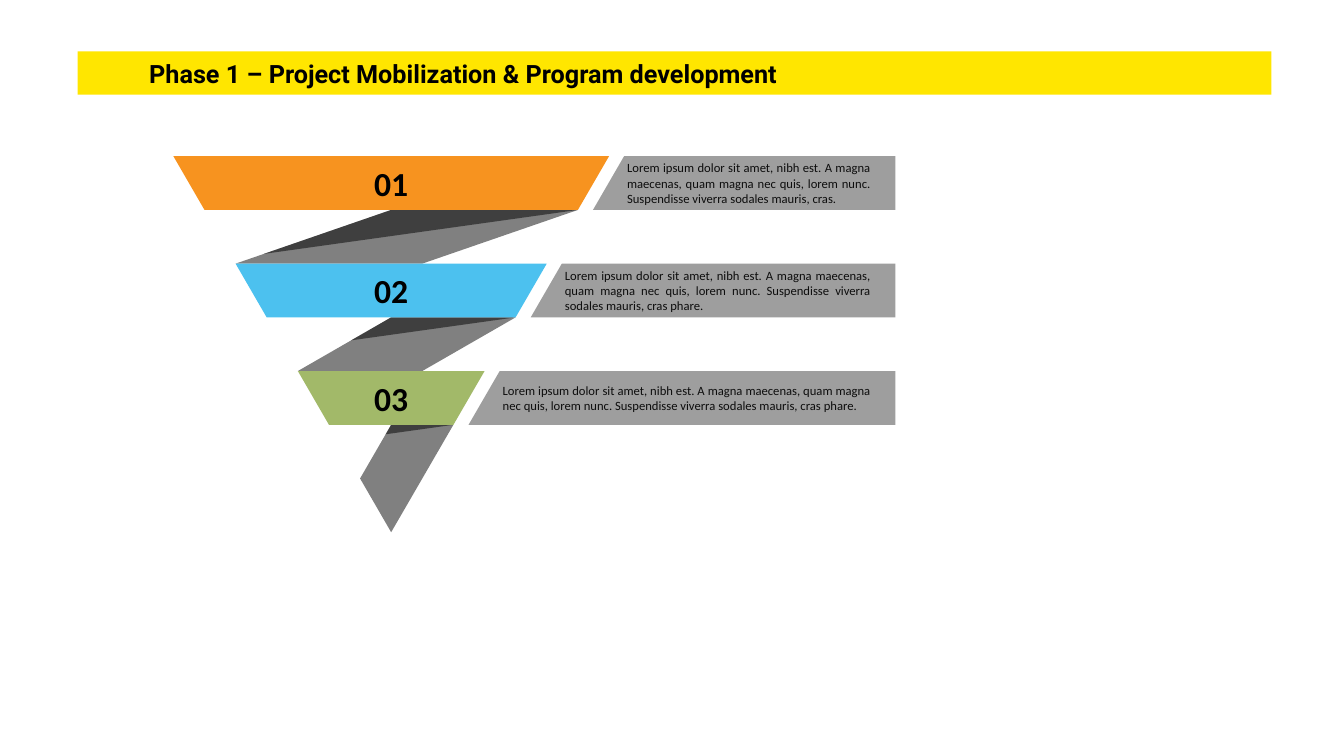
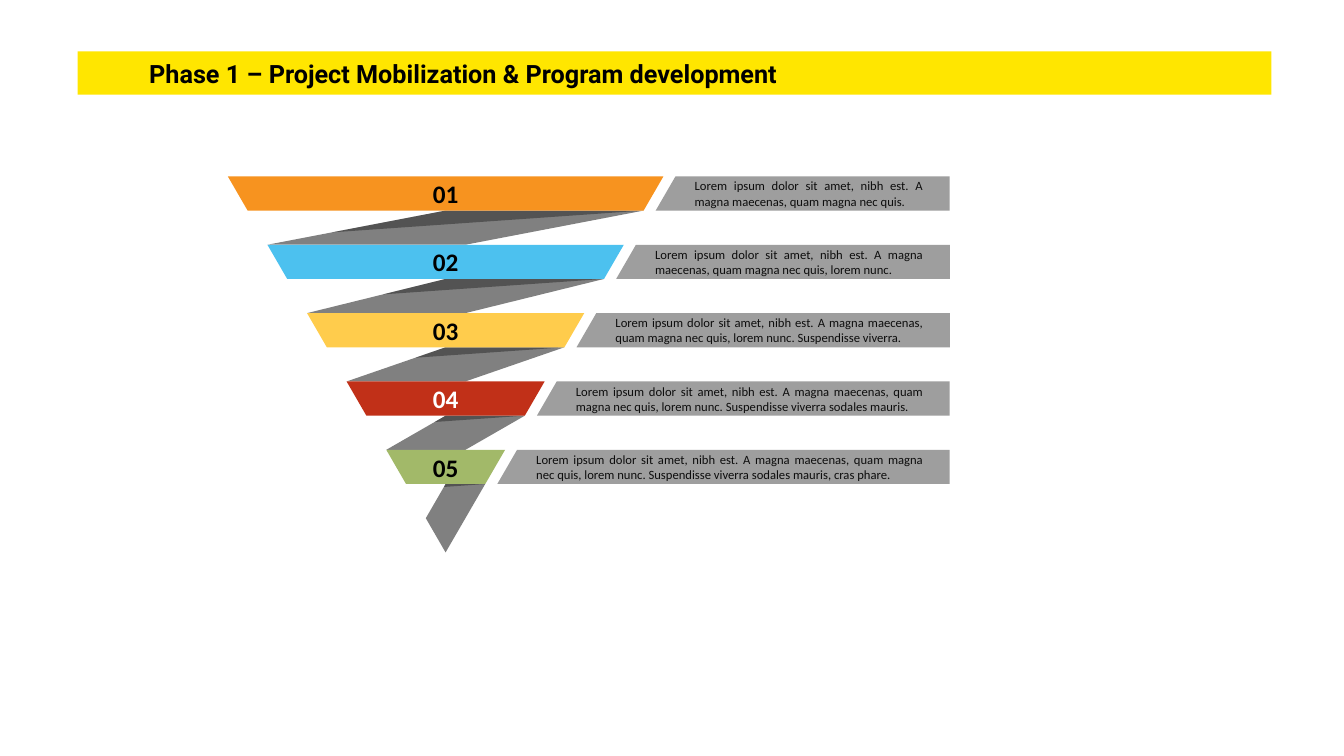
"""Build two funnel slides, one with three steps and one with five."""
from dataclasses import dataclass

from lxml.etree import SubElement
from pptx import Presentation
from pptx.dml.color import RGBColor
from pptx.enum.shapes import MSO_SHAPE as Shape
from pptx.enum.text import MSO_ANCHOR as Anchor, PP_ALIGN as Align
from pptx.oxml.ns import qn
from pptx.util import Inches, Pt

BLACK = RGBColor(0x00, 0x00, 0x00)
WHITE = RGBColor(0xFF, 0xFF, 0xFF)
INK = RGBColor(0x0D, 0x0D, 0x0D)
YELLOW = RGBColor(0xFF, 0xE6, 0x00)
ORANGE = RGBColor(0xF7, 0x93, 0x1F)
BLUE = RGBColor(0x4C, 0xC1, 0xEF)
AMBER = RGBColor(0xFF, 0xCC, 0x4C)
RED = RGBColor(0xC1, 0x30, 0x18)
GREEN = RGBColor(0xA2, 0xB9, 0x69)
RIBBON_GRAY = RGBColor(0x80, 0x80, 0x80)
PANEL_GRAY = RGBColor(0x9E, 0x9E, 0x9E)

TITLE = "Phase 1 – Project Mobilization & Program development"
OPENING = "Lorem ipsum dolor sit amet, nibh est. A magna maecenas, quam magna nec quis"
FULL_ENDING = ", lorem nunc. Suspendisse viverra sodales mauris, cras phare."

HALF_WIDTH = 2.16
FUNNEL_HEIGHT = 3.73
SIDE_SLOPE = HALF_WIDTH / FUNNEL_HEIGHT
PANEL_REACH = 5.0


@dataclass
class Funnel:
    """Place and proportions of one funnel."""
    center: float
    top: float
    number_size: int
    gap: float
    indent: float
    margin: float
    shade_slope: float
    shade_alpha: int


class FunnelDeck:
    """Hold the shared style and the current slide."""

    def __init__(self):
        self.deck = Presentation()
        self.deck.slide_width = Inches(13.33)
        self.deck.slide_height = Inches(7.5)
        self.page = None

    def add_page(self, title):
        self.page = self.deck.slides.add_slide(self.deck.slide_layouts[6])
        bar = self.page.shapes.add_shape(
            Shape.RECTANGLE, Inches(0.77), Inches(0.51), Inches(11.84), Inches(0.43))
        self.paint(bar, YELLOW)
        self.label(bar, title, 18, BLACK, Align.LEFT, "Roboto", True, 0.71, 0.1)

    def paint(self, shape, color, alpha=100):
        shape.shadow.inherit = False
        shape.line.fill.background()
        shape.fill.solid()
        shape.fill.fore_color.rgb = color
        if alpha < 100:
            tint = shape.element.spPr.find(qn("a:solidFill")).find(qn("a:srgbClr"))
            SubElement(tint, qn("a:alpha")).set("val", str(alpha * 1000))

    def label(self, shape, text, size, color, align, font="Calibri", bold=False,
              left=0, right=0):
        frame = shape.text_frame
        frame.word_wrap = True
        frame.vertical_anchor = Anchor.MIDDLE
        frame.margin_left, frame.margin_right = Inches(left), Inches(right)
        frame.margin_top = frame.margin_bottom = 0
        para = frame.paragraphs[0]
        para.alignment = align
        span = para.add_run()
        span.text = text
        span.font.name, span.font.size, span.font.bold = font, Pt(size), bold
        span.font.color.rgb = color

    def polygon(self, points, color, alpha=100):
        corners = [(Inches(x), Inches(y)) for x, y in points]
        builder = self.page.shapes.build_freeform(*corners[0], scale=1.0)
        builder.add_line_segments(corners[1:], close=True)
        shape = builder.convert_to_shape()
        self.paint(shape, color, alpha)
        return shape

    def ribbon(self, funnel, top, height, half, last):
        slant = height * SIDE_SLOPE
        center, right = funnel.center, funnel.center + half - slant
        fold_top, fold_bottom = top + height, top + 2 * height
        drift = slant if last else half - 2 * slant
        left_foot = (center - drift, fold_bottom)
        right_foot = (center, fold_bottom + height) if last else (center + slant, fold_bottom)
        edge = [(center, fold_top), (right, fold_top)]
        self.polygon(edge + [right_foot, left_foot], RIBBON_GRAY)
        slope = funnel.shade_slope
        share = slope * (right - center) / (height - slope * drift)
        shade_tip = (center - share * drift, fold_top + share * height)
        self.polygon(edge + [shade_tip], BLACK, funnel.shade_alpha)

    def panel(self, funnel, top, height, half, text):
        slant = height * SIDE_SLOPE
        left, right = funnel.center + half + funnel.gap, funnel.center + PANEL_REACH
        shape = self.polygon([(left, top), (right, top), (right, top + height),
                              (left - slant, top + height)], PANEL_GRAY)
        self.label(shape, text, 9, INK, Align.JUSTIFY,
                   left=slant + funnel.indent, right=funnel.margin)

    def band(self, funnel, top, height, half, number, color, number_color):
        center, base = funnel.center, half - height * SIDE_SLOPE
        shape = self.polygon([(center - half, top), (center + half, top),
                              (center + base, top + height),
                              (center - base, top + height)], color)
        self.label(shape, f"{number:02d}", funnel.number_size, number_color,
                   Align.CENTER, bold=True)

    def funnel(self, funnel, steps):
        height = FUNNEL_HEIGHT / (2 * len(steps) + 1)
        for index, (color, number_color, ending) in enumerate(steps):
            offset = 2 * height * index
            place = (funnel, funnel.top + offset, height, HALF_WIDTH - offset * SIDE_SLOPE)
            self.ribbon(*place, index == len(steps) - 1)
            self.panel(*place, OPENING + ending)
            self.band(*place, index + 1, color, number_color)


def main():
    slides = FunnelDeck()
    slides.add_page(TITLE)
    slides.funnel(Funnel(3.88, 1.55, 24, 0.15, 0.03, 0.25, 0.14, 50), [
        (ORANGE, BLACK, ", lorem nunc. Suspendisse viverra sodales mauris, cras."),
        (BLUE, BLACK, FULL_ENDING),
        (GREEN, BLACK, FULL_ENDING),
    ])
    slides.add_page(TITLE)
    slides.funnel(Funnel(4.42, 1.75, 18, 0.12, 0.19, 0.27, 0.07, 35), [
        (ORANGE, BLACK, "."),
        (BLUE, BLACK, ", lorem nunc."),
        (AMBER, BLACK, ", lorem nunc. Suspendisse viverra."),
        (RED, WHITE, ", lorem nunc. Suspendisse viverra sodales mauris."),
        (GREEN, BLACK, FULL_ENDING),
    ])
    slides.deck.save("out.pptx")


if __name__ == "__main__":
    main()
